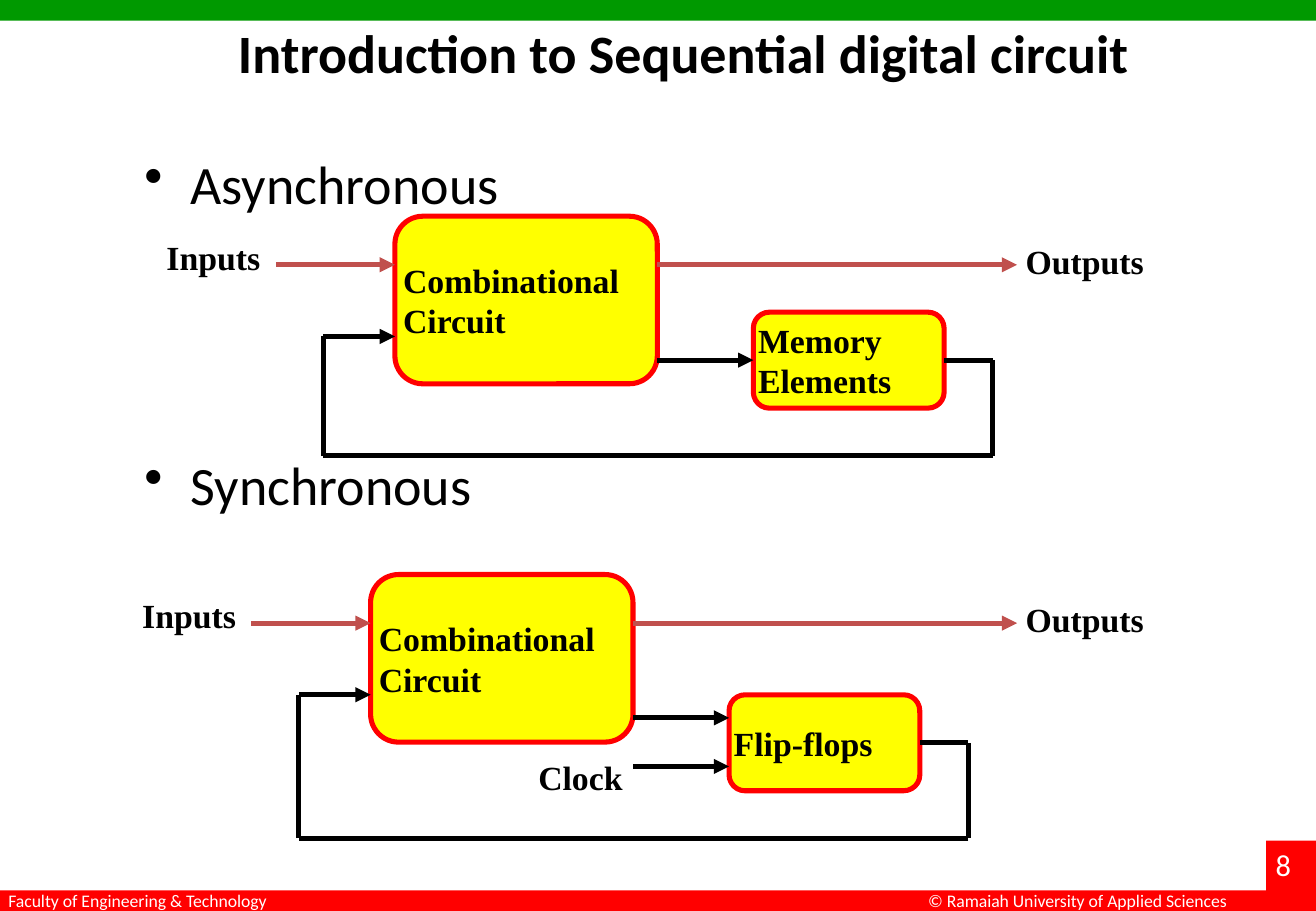
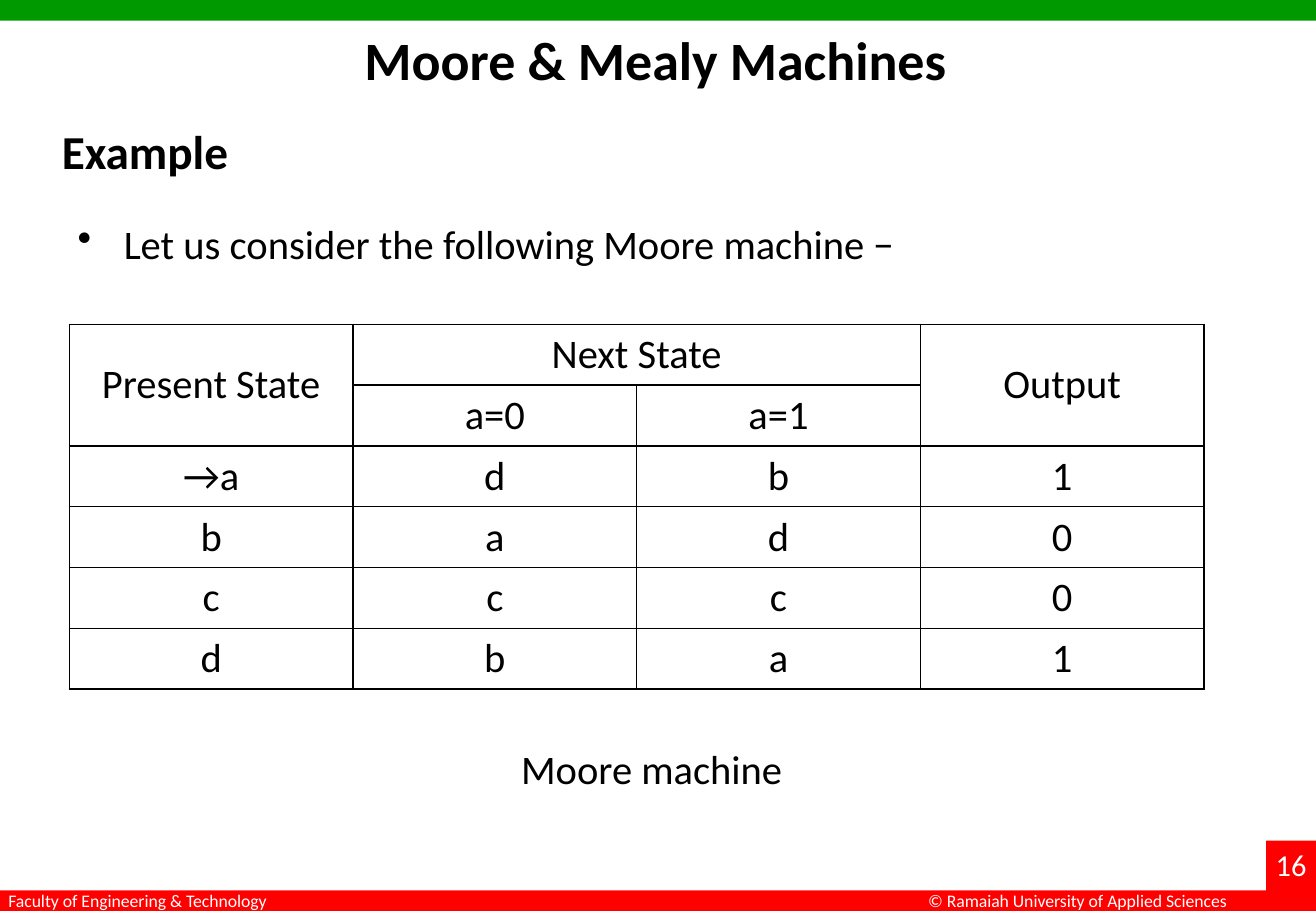
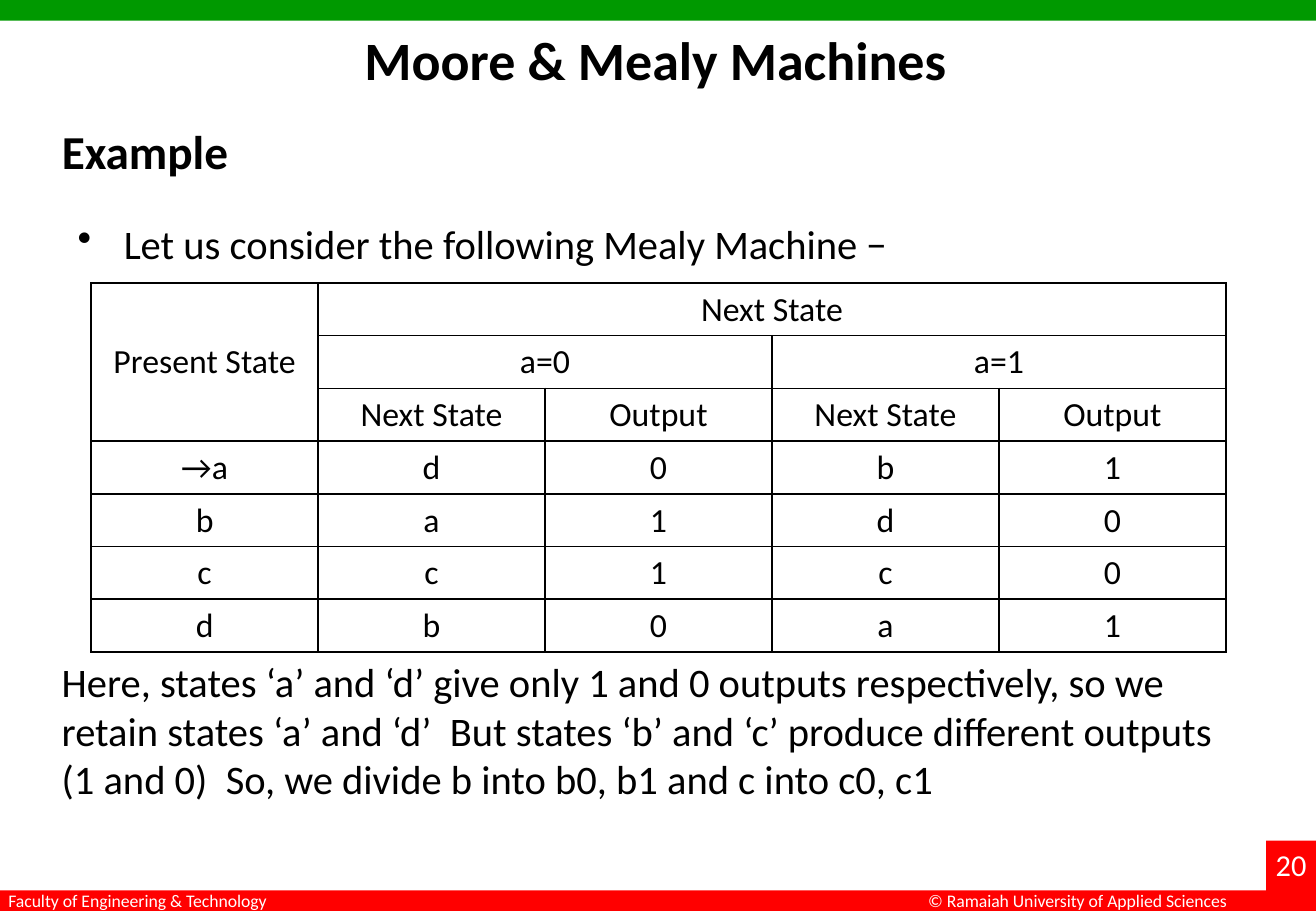
from lxml import etree
from pptx import Presentation
from pptx.dml.color import RGBColor
from pptx.enum.shapes import MSO_CONNECTOR, MSO_SHAPE
from pptx.enum.text import MSO_ANCHOR, PP_ALIGN
from pptx.oxml.ns import qn
from pptx.util import Inches, Pt

STRAIGHT = MSO_CONNECTOR.STRAIGHT
RECT, ROUND = MSO_SHAPE.RECTANGLE, MSO_SHAPE.ROUNDED_RECTANGLE
MIDDLE, TOP = MSO_ANCHOR.MIDDLE, MSO_ANCHOR.TOP
LEFT, CENTER = PP_ALIGN.LEFT, PP_ALIGN.CENTER
WIDE, HIGH = 10.83, 7.5
GREEN, RED, YELLOW, ROSE = "009900", "FF0000", "FFFF00", "C0504D"
BLACK, WHITE = "000000", "FFFFFF"
SANS, SERIF = "Calibri", "Times New Roman"


def color(code):
    """Turn a hex string into a colour."""
    return RGBColor.from_string(code)


def style(par, size, bold=False, face=SANS, ink=BLACK, align=LEFT):
    """Set the font and alignment of a paragraph."""
    par.alignment = align
    font = par.font
    font.size, font.bold, font.name = Pt(size), bold, face
    font.color.rgb = color(ink)


def fill_text(frame, lines, size, inset=True, anchor=TOP, **look):
    """Write lines into a text frame."""
    frame.word_wrap = True
    frame.vertical_anchor = anchor
    if not inset:
        frame.margin_left = frame.margin_right = 0
        frame.margin_top = frame.margin_bottom = 0
    for i, line in enumerate(lines):
        par = frame.add_paragraph() if i else frame.paragraphs[0]
        par.text = line
        style(par, size, **look)


def add_text(slide, box, text, size, **look):
    """Add a text box with one paragraph and return that paragraph."""
    frame = slide.shapes.add_textbox(*map(Inches, box)).text_frame
    fill_text(frame, [text], size, **look)
    return frame.paragraphs[0]


def add_list(slide, box, items, size, gap=0):
    """Add a bulleted list with a gap in points between items."""
    frame = slide.shapes.add_textbox(*map(Inches, box)).text_frame
    frame.word_wrap = True
    for i, item in enumerate(items):
        par = frame.add_paragraph() if i else frame.paragraphs[0]
        par.text = item
        props = par._p.get_or_add_pPr()
        props.set("marL", str(Inches(0.38)))
        props.set("indent", str(-Inches(0.38)))
        etree.SubElement(props, qn("a:buChar"), char="•")
        style(par, size)
        if i:
            par.space_before = Pt(gap)


def add_box(slide, box, fill, kind=RECT, edge=None):
    """Add a filled shape, outlined if an edge colour is given."""
    shape = slide.shapes.add_shape(kind, *map(Inches, box))
    shape.shadow.inherit = False
    shape.fill.solid()
    shape.fill.fore_color.rgb = color(fill)
    if edge:
        shape.line.color.rgb = color(edge)
        shape.line.width = Pt(3)
    else:
        shape.line.fill.background()
    return shape


def add_line(slide, start, end, ink=BLACK, arrow=True):
    """Add a straight line or arrow between two points."""
    line = slide.shapes.add_connector(STRAIGHT, *map(Inches, start + end))
    line.line.color.rgb = color(ink)
    line.line.width = Pt(3)
    if arrow:
        etree.SubElement(line.line._get_or_add_ln(), qn("a:tailEnd"), type="triangle")
    etree.SubElement(line._element.spPr, qn("a:effectLst"))
    return line


def add_block(slide, box, lines):
    """Add a yellow circuit block with its label."""
    shape = add_box(slide, box, YELLOW, ROUND, RED)
    shape.adjustments[0] = 0.167
    fill_text(shape.text_frame, lines, 20, inset=False, anchor=MIDDLE,
              bold=True, face=SERIF)
    return shape


def add_loop(slide, left, top, drop, part, clock=False):
    """Draw a feedback circuit from the corner of its main block."""
    def at(x, y):
        return left + x, top + y

    def label(x, y, wide, text):
        add_text(slide, (x, y, wide, 0.34), text, 20, inset=False,
                 bold=True, face=SERIF)

    wide, far, low = 2.16, 8.37, drop + 1.18
    add_block(slide, (left, top, wide, 1.38), ["Combinational", "Circuit"])
    store = add_block(slide, (*at(2.95, drop), 1.57, 0.79), [part])
    add_line(slide, at(-0.98, 0.4), at(0, 0.4), ROSE)
    add_line(slide, at(wide, 0.4), (far, top + 0.4), ROSE)
    label(*at(-1.88, 0.17), 0.78, "Inputs")
    label(far + 0.07, top + 0.2, 0.98, "Outputs")

    feeds = (0.19, 0.59) if clock else (0.395,)
    for y in feeds:
        feed = add_line(slide, at(wide, drop + y), at(2.95, drop + y))
    if clock:
        label(*at(1.38, 1.5), 0.7, "Clock")
    else:
        feed.end_connect(store, 1)

    mid = drop + 0.395
    turns = [(4.52, mid), (4.92, mid), (4.92, low), (-0.59, low),
             (-0.59, 0.99), (0, 0.99)]
    for i, (start, end) in enumerate(zip(turns, turns[1:])):
        line = add_line(slide, at(*start), at(*end), arrow=end == turns[-1])
        if i == 0:
            line.begin_connect(store, 3)


def add_grid(slide, box, rows, spans, size):
    """Add a ruled table; spans give row, column, last row, last column."""
    shape = slide.shapes.add_table(len(rows), len(rows[0]), *map(Inches, box))
    table = shape.table
    table.first_row = table.horz_banding = False
    for r, row in enumerate(rows):
        for c, text in enumerate(row):
            cell = table.cell(r, c)
            cell.fill.background()
            cell.vertical_anchor = MIDDLE
            par = cell.text_frame.paragraphs[0]
            par.text = text
            style(par, size, align=CENTER)
            rule_cell(cell)
    for r, c, last, end in spans:
        table.cell(r, c).merge(table.cell(last, end))


def rule_cell(cell):
    """Draw thin black borders round a cell."""
    props = cell._tc.get_or_add_tcPr()
    for i, side in enumerate("LRTB"):
        edge = etree.Element(qn("a:ln" + side), w=str(Pt(1)))
        fill = etree.SubElement(edge, qn("a:solidFill"))
        etree.SubElement(fill, qn("a:srgbClr"), val=BLACK)
        props.insert(i, edge)


def add_frame(deck, number):
    """Add a slide with the shared bands, footer and number."""
    slide = deck.slides.add_slide(deck.slide_layouts[6])
    add_box(slide, (0, 0, WIDE, 0.17), GREEN)
    add_box(slide, (0, HIGH - 0.17, WIDE, 0.17), RED)
    add_text(slide, (7.54, 7.28, 2.7, 0.28),
             "© Ramaiah University of Applied Sciences", 10.5, ink=WHITE)
    add_box(slide, (10.42, 6.92, 0.41, 0.58), RED)
    add_text(slide, (10.4, 6.92, 0.5, 0.4), str(number), 18, ink=WHITE)
    add_text(slide, (-0.03, 7.28, 2.38, 0.28),
             "Faculty of Engineering & Technology", 10.5, ink=WHITE)
    return slide


def add_title(slide, box, text):
    """Add the slide title."""
    return add_text(slide, box, text, 32, bold=True)


def circuit_slide(deck):
    """Build the slide with both circuits."""
    slide = add_frame(deck, 8)
    title = add_title(slide, (1.36, 0.17, 8.11, 1.07),
                      "Introduction to Sequential digital circuit")
    title._p.get_or_add_pPr().set("marL", str(Inches(0.5)))
    title.line_spacing = 0.9
    add_list(slide, (1.09, 1.19, 9.06, 3.33), ["Asynchronous", "Synchronous"], 32, 140)
    add_loop(slide, 3.05, 4.73, 0.99, "Flip-flops", clock=True)
    add_loop(slide, 3.25, 1.78, 0.79, "Memory\vElements")


def machine_slide(deck, number, lead, box, rows, spans, size):
    """Build a slide with a state table and return it."""
    slide = add_frame(deck, number)
    add_title(slide, (2.9, 0.17, 5.04, 0.64), "Moore & Mealy Machines")
    add_text(slide, (0.41, 0.96, 1.59, 0.57), "Example", 28, bold=True)
    add_list(slide, (0.54, 1.75, 9.75, 4.95), [lead], 24)
    add_grid(slide, box, rows, spans, size)
    return slide


def main():
    """Build and save the deck."""
    deck = Presentation()
    deck.slide_width, deck.slide_height = Inches(WIDE), Inches(HIGH)
    circuit_slide(deck)

    moore = [
        ["Present State", "Next State", "", "Output"],
        ["", "a=0", "a=1", ""],
        ["→a", "d", "b", "1"],
        ["b", "a", "d", "0"],
        ["c", "c", "c", "0"],
        ["d", "b", "a", "1"],
    ]
    slide = machine_slide(deck, 16, "Let us consider the following Moore machine −",
                          (0.57, 2.67, 9.34, 3), moore,
                          [(0, 0, 1, 0), (0, 1, 0, 2), (0, 3, 1, 3)], 24)
    add_text(slide, (4.19, 6.08, 2.45, 0.5), "Moore machine", 24)

    mealy = [
        ["Present State", "Next State", "", "", ""],
        ["", "a=0", "", "a=1", ""],
        ["", "Next State", "Output", "Next State", "Output"],
        ["→a", "d", "0", "b", "1"],
        ["b", "a", "1", "d", "0"],
        ["c", "c", "1", "c", "0"],
        ["d", "b", "0", "a", "1"],
    ]
    slide = machine_slide(deck, 20, "Let us consider the following Mealy Machine −",
                          (0.75, 2.33, 9.34, 3.03), mealy,
                          [(0, 0, 2, 0), (0, 1, 0, 4), (1, 1, 1, 2), (1, 3, 1, 4)], 20)
    add_text(slide, (0.41, 5.36, 10, 1.31),
             "Here, states ‘a’ and ‘d’ give only 1 and 0 outputs respectively, "
             "so we retain states ‘a’ and ‘d’  But states ‘b’ and ‘c’ produce "
             "different outputs (1 and 0)  So, we divide b into b0, b1 and c "
             "into c0, c1", 24)
    deck.save("out.pptx")


if __name__ == "__main__":
    main()
